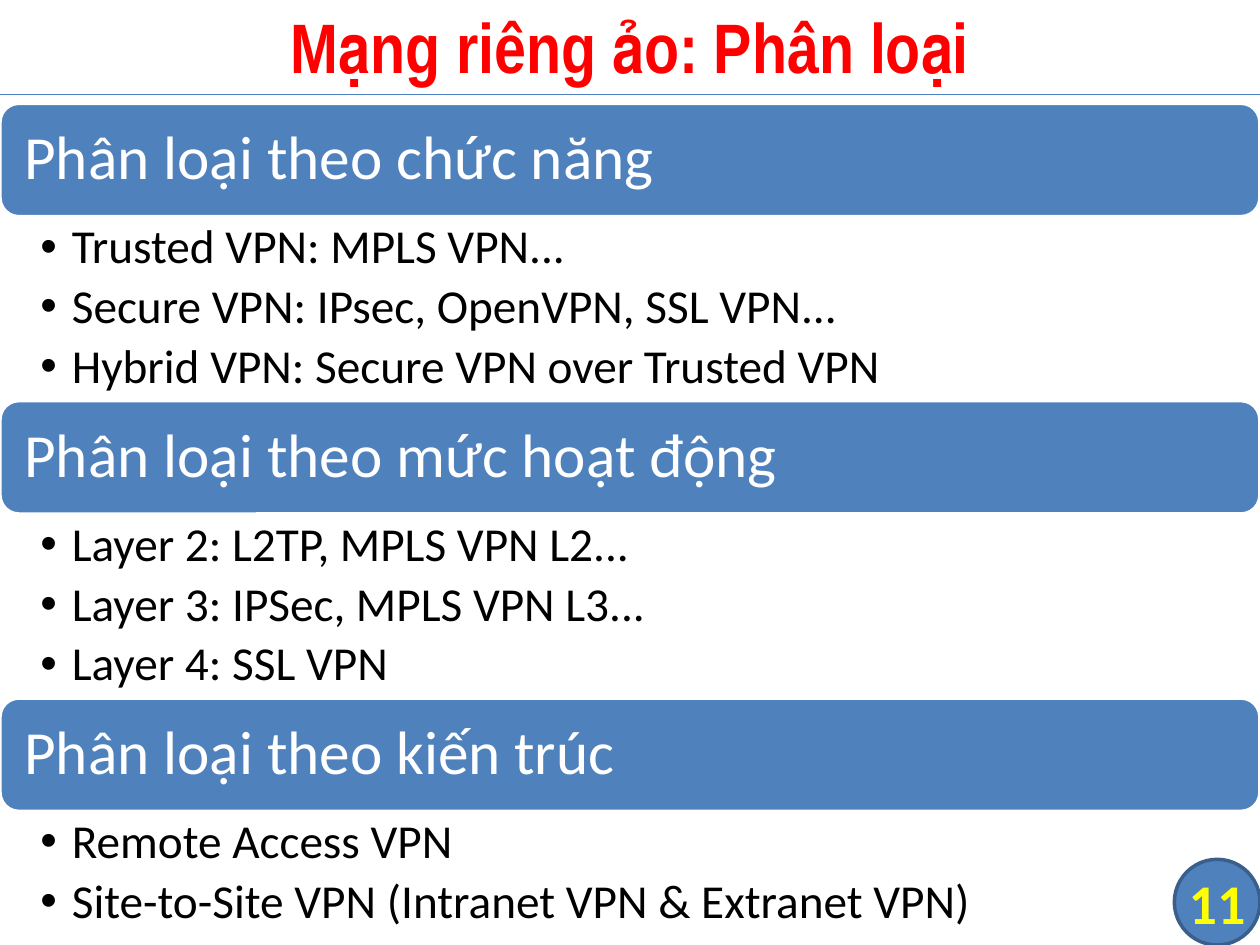
from lxml.etree import SubElement
from pptx import Presentation
from pptx.dml.color import RGBColor
from pptx.enum.shapes import MSO_CONNECTOR, MSO_SHAPE
from pptx.enum.text import MSO_ANCHOR as Anchor, MSO_AUTO_SIZE as AutoSize, PP_ALIGN as Align
from pptx.oxml.ns import qn
from pptx.util import Inches, Pt

BLUE = RGBColor(0x4F, 0x81, 0xBD)
DARK_BLUE = RGBColor(0x3A, 0x5F, 0x8C)
RULE_BLUE = RGBColor(0x4B, 0x7E, 0xBC)
RED = RGBColor(0xFF, 0x00, 0x00)
YELLOW = RGBColor(0xFF, 0xFF, 0x00)
WHITE = RGBColor(0xFF, 0xFF, 0xFF)
BLACK = RGBColor(0x00, 0x00, 0x00)

COMPARISON_LAYOUT = 4
HEADER_HEIGHT = 0.9
SECTION_PITCH = 2.36
SECTIONS = [
    ("Phân loại theo chức năng", [
        "Trusted VPN: MPLS VPN...",
        "Secure VPN: IPsec, OpenVPN, SSL VPN...",
        "Hybrid VPN: Secure VPN over Trusted VPN",
    ]),
    ("Phân loại theo mức hoạt động", [
        "Layer 2: L2TP, MPLS VPN L2...",
        "Layer 3: IPSec, MPLS VPN L3...",
        "Layer 4: SSL VPN",
    ]),
    ("Phân loại theo kiến trúc", [
        "Remote Access VPN",
        "Site-to-Site VPN (Intranet VPN & Extranet VPN)",
    ]),
]


def place(shape, left, top, width, height):
    """Move and size a shape, in inches."""
    shape.left, shape.top = Inches(left), Inches(top)
    shape.width, shape.height = Inches(width), Inches(height)


def set_frame(frame, anchor, left=0, top=0, right=0, bottom=0):
    """Set the anchor and insets of a text frame, in inches."""
    frame.word_wrap = True
    frame.auto_size = AutoSize.NONE
    frame.vertical_anchor = anchor
    frame.margin_left, frame.margin_right = Inches(left), Inches(right)
    frame.margin_top, frame.margin_bottom = Inches(top), Inches(bottom)


def set_font(para, name, size, color, bold=False):
    """Set the font of a whole paragraph."""
    font = para.font
    font.name, font.size, font.bold = name, Pt(size), bold
    font.color.rgb = color


def add_panel(page, preset, left, top, width, height, outline):
    """Add a blue shape with a two-point outline."""
    panel = page.shapes.add_shape(
        preset, Inches(left), Inches(top), Inches(width), Inches(height))
    panel.shadow.inherit = False
    panel.fill.solid()
    panel.fill.fore_color.rgb = BLUE
    panel.line.color.rgb = outline
    panel.line.width = Pt(2)
    return panel


def add_title(page, left, top, width, height):
    """Fill the title placeholder and draw the rule under it."""
    title = page.shapes.title
    place(title, left, top, width, height)
    set_frame(title.text_frame, Anchor.MIDDLE, 0.1, 0.05, 0.1, 0.05)
    title.text_frame.text = "Mạng riêng ảo: Phân loại"
    para = title.text_frame.paragraphs[0]
    para.alignment = Align.CENTER
    set_font(para, "Arial Narrow", 40, RED, True)
    bottom = Inches(top + height)
    rule = page.shapes.add_connector(
        MSO_CONNECTOR.STRAIGHT, Inches(left), bottom, Inches(left + width), bottom)
    rule.line.color.rgb = RULE_BLUE
    rule.line.width = Pt(0.75)
    SubElement(rule.element.spPr, qn("a:effectLst"))


def add_header(page, text, left, top, width, height):
    """Add the rounded bar that names a section."""
    bar = add_panel(page, MSO_SHAPE.ROUNDED_RECTANGLE, left, top, width, height, WHITE)
    set_frame(bar.text_frame, Anchor.MIDDLE, 0.15, 0.15, 0.15, 0.15)
    para = bar.text_frame.paragraphs[0]
    para.text = text
    para.alignment = Align.LEFT
    para.line_spacing = 0.9
    set_font(para, "Calibri", 35, WHITE)


def fill_list(body, items, left, top, width, height):
    """Fill a body placeholder with a bulleted list."""
    place(body, left, top, width, height)
    frame = body.text_frame
    set_frame(frame, Anchor.TOP, 0.32, 0.05, 0.27, 0.05)
    frame.text = "\n".join(items)
    for para in frame.paragraphs:
        properties = para._p.get_or_add_pPr()
        properties.set("marL", str(Inches(0.25)))
        properties.set("indent", str(Inches(-0.25)))
        SubElement(properties, qn("a:buFont"), typeface="Arial")
        SubElement(properties, qn("a:buChar"), char="•")
        para.alignment = Align.LEFT
        para.line_spacing = 0.9
        para.space_before = Pt(0)
        para.space_after = Pt(5)
        set_font(para, "Calibri", 27, BLACK)


def add_sections(page, left, top, width):
    """Stack the sections, each a header bar above its list."""
    bodies = [holder for holder in page.placeholders if holder != page.shapes.title]
    for index, (heading, items) in enumerate(SECTIONS):
        section_top = top + index * SECTION_PITCH
        add_header(page, heading, left, section_top, width, HEADER_HEIGHT)
        fill_list(bodies[index], items, left, section_top + HEADER_HEIGHT,
                  width, 0.48 * len(items) + 0.02)
    for spare in bodies[len(SECTIONS):]:
        spare.element.getparent().remove(spare.element)


def add_page_number(page, left, top, size):
    """Add the round page-number badge."""
    badge = add_panel(page, MSO_SHAPE.FLOWCHART_CONNECTOR, left, top, size, size, DARK_BLUE)
    set_frame(badge.text_frame, Anchor.MIDDLE)
    badge.text_frame.word_wrap = False
    para = badge.text_frame.paragraphs[0]
    para.text = "11"
    para.alignment = Align.CENTER
    set_font(para, "Calibri", 32, YELLOW, True)


def main():
    """Build the slide and save the deck."""
    deck = Presentation()
    deck.slide_width, deck.slide_height = Inches(10), Inches(7.5)
    page = deck.slides.add_slide(deck.slide_layouts[COMPARISON_LAYOUT])
    add_title(page, 0, -0.03, 10, 0.78)
    add_sections(page, 0, 0.82, 10)
    add_page_number(page, 9.32, 6.82, 0.68)
    deck.save("out.pptx")


if __name__ == "__main__":
    main()
